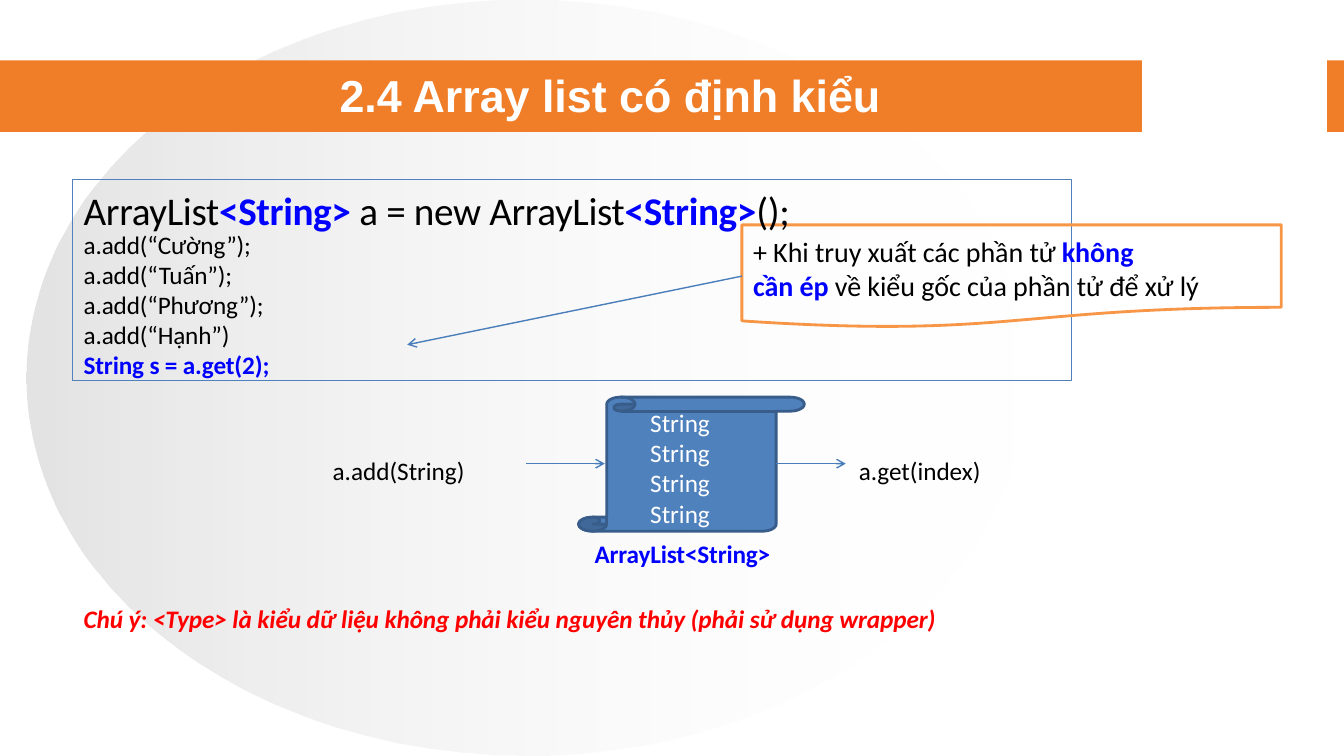
import math
import lxml.etree
import pptx
import pptx.util
import pptx.dml.color
import pptx.enum.shapes
import pptx.enum.text
import pptx.oxml
import pptx.oxml.ns

HEX = {
    "black": "000000", "white": "FFFFFF", "blue": "0000FF", "red": "FF0000",
    "grey": "C0C0C0", "band": "F07D27", "frame": "4F81BD", "curl": "406898",
    "edge": "385D8A", "arrow": "4A7EBB", "note": "F79646",
}

# Places are percent of slide width and height: left, top, width, height
DISC = (1.95, 0, 74.4, 100)
BAND = (0, 8, 100, 9.47)
GAP = (85, 8, 13.72, 9.47)
FRAME = (5.4, 23.7, 74.33, 26.6)
NOTE = (55.2, 29.75, 40.13, 13.6)

# Scroll: left, top, right, bottom, then half width and half height of a roll
SCROLL = (43.05, 52.53, 59.85, 70.27)
RX, RY = 1.05, 0.93

ARROWS = [
    (39.15, 61.33, 45, 61.33),
    (57.75, 61.33, 62.93, 61.33),
    (55.2, 36.53, 30.3, 45.6),
]

# place, size, letter spacing, alignment, lines of (text, colour, style)
TEXTS = [
    ((6.23, 24.67, 71.85, 6.27), 28, -0.25, "LEFT", [[
        ("ArrayList", "black", ""), ("<String> ", "blue", "b"),
        ("a = new ArrayList", "black", ""), ("<String>", "blue", "b"),
        ("();", "black", "")]]),
    ((6.23, 30.27, 29.4, 20.13), 18, -0.1, "LEFT", [
        [("a.add(“Cường”);", "black", "")],
        [("a.add(“Tuấn”);", "black", "")],
        [("a.add(“Phương”);", "black", "")],
        [("a.add(“Hạnh”)", "black", "")],
        [("String s = a.get(2);", "blue", "b")]]),
    ((48.38, 53.87, 6.23, 16.13), 18, 0, "JUSTIFY",
     [[("String String String String", "white", "")]]),
    ((24.75, 60.27, 13.35, 4), 18, 0, "LEFT",
     [[("a.add(String)", "black", "")]]),
    ((63.9, 60.27, 12.38, 4), 18, 0, "LEFT",
     [[("a.get(index)", "black", "")]]),
    ((9.75, 71.2, 82.05, 4.07), 18, -0.1, "CENTER",
     [[("ArrayList<String>", "blue", "b")]]),
    ((6.23, 79.8, 85.58, 4.07), 18, -0.05, "LEFT",
     [[("Chú ý: <Type> là kiểu dữ liệu không phải kiểu nguyên thủy "
        "(phải sử dụng wrapper)", "red", "bi")]]),
    ((56.03, 31.07, 38.25, 8.93), 20, -0.05, "LEFT", [
        [("+ Khi truy xuất các phần tử ", "black", ""),
         ("không", "blue", "b")],
        [("cần ép ", "blue", "b"),
         ("về kiểu gốc của phần tử để xử lý", "black", "")]]),
]
TITLE = ((12.5, 8.93, 65.85, 7.07), 32, 0, "CENTER",
         [[("2.4 Array list có định kiểu", "white", "b")]])

deck = pptx.Presentation()
deck.slide_width = pptx.util.Inches(13.33)
deck.slide_height = pptx.util.Inches(7.5)
shapes = deck.slides.add_slide(deck.slide_layouts[6]).shapes
KINDS = pptx.enum.shapes.MSO_SHAPE


def rgb(name):
    return pptx.dml.color.RGBColor.from_string(HEX[name])


def emu(*shares):
    """Turn alternating x and y percentages into lengths."""
    sides = (deck.slide_width, deck.slide_height)
    return [round(s * sides[i % 2] / 100) for i, s in enumerate(shares)]


def paint(shape, fill=None, line=None, width=0.75):
    shape.shadow.inherit = False
    if fill:
        shape.fill.solid()
        shape.fill.fore_color.rgb = rgb(fill)
    else:
        shape.fill.background()
    if line:
        shape.line.color.rgb = rgb(line)
        shape.line.width = pptx.util.Pt(width)
    else:
        shape.line.fill.background()
    return shape


def box(kind, place, *style):
    return paint(shapes.add_shape(kind, *emu(*place)), *style)


def link(ends, color, width, head=False):
    line = shapes.add_connector(
        pptx.enum.shapes.MSO_CONNECTOR.STRAIGHT, *emu(*ends))
    line.line.color.rgb = rgb(color)
    line.line.width = pptx.util.Pt(width)
    if head:
        tip = lxml.etree.SubElement(
            line.line._get_or_add_ln(), pptx.oxml.ns.qn("a:tailEnd"))
        tip.set("type", "arrow")
    lxml.etree.SubElement(
        line._element.spPr, pptx.oxml.ns.qn("a:effectLst"))


def arc(x, y, start, end, scale=1):
    """Points on a roll's edge, in degrees clockwise from the right."""
    turns = [math.radians(start + (end - start) * i / 12) for i in range(13)]
    return [(x + scale * RX * math.cos(t), y + scale * RY * math.sin(t))
            for t in turns]


def trace(points, fill=None, close=True):
    spots = [emu(*p) for p in points]
    path = shapes.build_freeform(*spots[0])
    path.add_line_segments(spots[1:], close=close)
    paint(path.convert_to_shape(), fill, "edge", 2)


def scroll():
    left, top, right, base = SCROLL
    inner, outer = left + 2 * RX, right - 2 * RX
    high, low = top + RY, base - RY
    roll, foot = inner + RX, left + RX
    trace([(inner, low - RY)] + arc(roll, high, 180, 270)
          + arc(right - RX, high, -90, 90) + [(outer, high + RY)]
          + arc(outer - RX, low, 0, 90) + arc(foot, low, 90, 270), "frame")
    trace(arc(roll, high, 0, 90)
          + arc(roll, high + RY / 2, 90, 270, 0.5), "curl")
    trace(arc(foot, low, 0, 270)
          + arc(foot, low - RY / 2, -90, 90, 0.5), "curl")
    trace(arc(roll, high, -90, 0), close=False)
    link((roll, high + RY, outer, high + RY), "edge", 2)
    link((inner, low - RY, inner, low), "edge", 2)


def write(place, size, gap, align, lines, face="Calibri"):
    frame = shapes.add_textbox(*emu(*place)).text_frame
    frame.word_wrap = True
    frame.margin_left = frame.margin_right = 0
    frame.margin_top = frame.margin_bottom = 0
    for i, line in enumerate(lines):
        para = frame.add_paragraph() if i else frame.paragraphs[0]
        para.alignment = getattr(pptx.enum.text.PP_ALIGN, align)
        for words, color, style in line:
            run = para.add_run()
            run.text = words
            font = run.font
            font.name, font.size = face, pptx.util.Pt(size)
            font.bold, font.italic = "b" in style, "i" in style
            font.color.rgb = rgb(color)
            run._r.get_or_add_rPr().set("spc", str(round(gap * 100)))
    return frame


disc = box(KINDS.OVAL, DISC)
disc.fill.gradient()
disc.fill.gradient_angle = 0
for stop, color, alpha in zip(
        disc.fill.gradient_stops, ("grey", "white"), (44, 0)):
    stop.color.rgb = rgb(color)
for tint, alpha in zip(
        disc._element.spPr.iter(pptx.oxml.ns.qn("a:srgbClr")), (44, 0)):
    veil = lxml.etree.SubElement(tint, pptx.oxml.ns.qn("a:alpha"))
    veil.set("val", str(alpha * 1000))

box(KINDS.RECTANGLE, BAND, "band")
box(KINDS.RECTANGLE, GAP, "white", "white")
box(KINDS.RECTANGLE, FRAME, None, "frame")
scroll()
box(KINDS.FLOWCHART_DOCUMENT, NOTE, None, "note", 2)
for ends in ARROWS:
    link(ends, "arrow", 1, True)
for text in TEXTS:
    write(*text)
title = write(*TITLE, face="Arial")
title.vertical_anchor = pptx.enum.text.MSO_ANCHOR.MIDDLE

deck.save("out.pptx")
